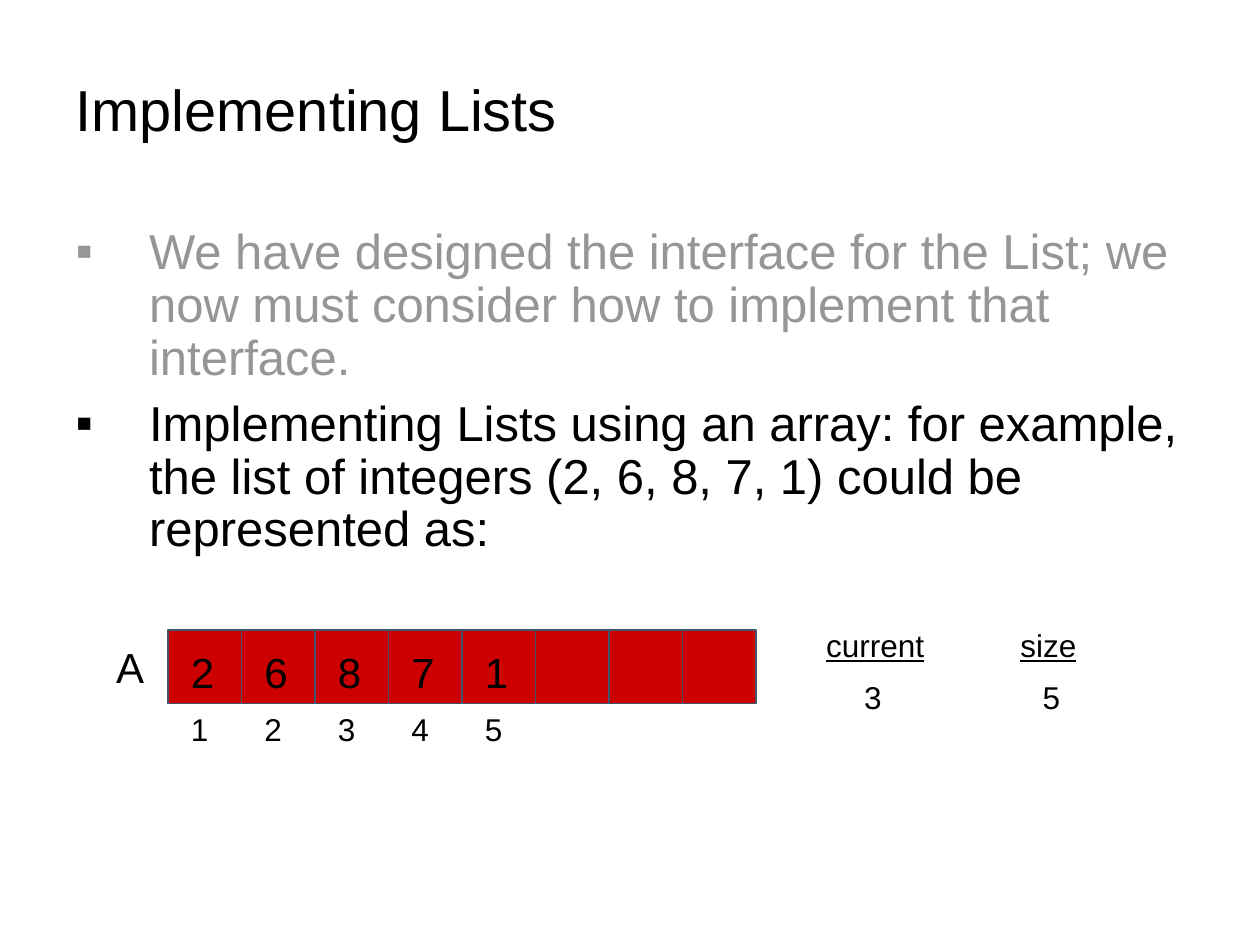
from lxml.etree import SubElement
from pptx import Presentation
from pptx.dml.color import RGBColor
from pptx.enum.shapes import MSO_CONNECTOR, MSO_SHAPE
from pptx.enum.text import MSO_ANCHOR, MSO_AUTO_SIZE, PP_ALIGN
from pptx.oxml.ns import qn
from pptx.util import Pt

PX = 9525  # EMU in one px, 96 px to the inch

THEME = {
    "font": "Arial",
    "text": "000000", "muted": "969696", "cell": "CC0000", "border": "44546A",
    "title": 33, "body": 28, "value": 24, "label": 18, "line": 0.75,
}

TITLE = "Implementing Lists"
BULLETS = [
    ("We have designed the interface for the List; we now must consider "
     "how to implement that interface.", "muted"),
    ("Implementing Lists using an array: for example, the list of integers "
     "(2, 6, 8, 7, 1) could be represented as:", "text"),
]
VALUES = ["2", "6", "8", "7", "1"]
CAPACITY = 8
# name, its left and width, value, its left
VARIABLES = [("current", 620, 94, "3", 649), ("size", 768, 67, "5", 785)]

ARRAY_LEFT, ARRAY_TOP, CELL = 128, 480, 56
BULLET_INDENT = 56
LABEL_WIDTH, LABEL_HEIGHT = 33, 38


def color(name):
    return RGBColor.from_string(THEME[name])


def write(paragraph, text, size="label", fill="text", underline=None):
    run = paragraph.add_run()
    run.text = text
    font = run.font
    font.name = THEME["font"]
    font.size = Pt(THEME[size])
    font.color.rgb = color(fill)
    font.underline = underline


def place(shape, left, top, width, height):
    shape.left, shape.top = left * PX, top * PX
    shape.width, shape.height = width * PX, height * PX


def add_label(slide, text, left, top, width=LABEL_WIDTH, height=LABEL_HEIGHT, **text_format):
    box = slide.shapes.add_textbox(left * PX, top * PX, width * PX, height * PX)
    box.text_frame.word_wrap = False
    write(box.text_frame.paragraphs[0], text, **text_format)


def add_bullet(paragraph, fill):
    properties = paragraph._p.get_or_add_pPr()
    properties.set("marL", str(BULLET_INDENT * PX))
    properties.set("indent", str(-BULLET_INDENT * PX))
    bullet_color = SubElement(properties, qn("a:buClr"))
    SubElement(bullet_color, qn("a:srgbClr"), val=THEME[fill])
    SubElement(properties, qn("a:buFont"), typeface=THEME["font"])
    SubElement(properties, qn("a:buChar"), char="▪")


def fill_placeholders(slide):
    title, body = slide.placeholders
    place(title, 48, 38, 864, 96)
    place(body, 48, 168, 864, 280)
    for shape in (title, body):
        shape.text_frame.auto_size = MSO_AUTO_SIZE.NONE
        shape.text_frame.word_wrap = True

    title.text_frame.vertical_anchor = MSO_ANCHOR.MIDDLE
    paragraph = title.text_frame.paragraphs[0]
    paragraph.alignment = PP_ALIGN.LEFT
    paragraph.line_spacing = 0.9
    write(paragraph, TITLE, size="title")

    for index, (text, fill) in enumerate(BULLETS):
        frame = body.text_frame
        paragraph = frame.add_paragraph() if index else frame.paragraphs[0]
        paragraph.line_spacing = 0.9
        paragraph.space_before = Pt(7.5 if index else 0)
        add_bullet(paragraph, fill)
        write(paragraph, text, size="body", fill=fill)


def draw_array(slide):
    array = slide.shapes.add_shape(MSO_SHAPE.RECTANGLE, ARRAY_LEFT * PX, ARRAY_TOP * PX,
                                   CAPACITY * CELL * PX, CELL * PX)
    array.shadow.inherit = False
    array.fill.solid()
    array.fill.fore_color.rgb = color("cell")
    array.line.color.rgb = color("border")
    array.line.width = Pt(THEME["line"])

    for number in range(1, CAPACITY):
        x = (ARRAY_LEFT + number * CELL) * PX
        divider = slide.shapes.add_connector(MSO_CONNECTOR.STRAIGHT, x, ARRAY_TOP * PX,
                                             x, (ARRAY_TOP + CELL) * PX)
        divider.line.color.rgb = color("border")
        divider.line.width = Pt(THEME["line"])
        SubElement(divider._element.spPr, qn("a:effectLst"))

    add_label(slide, "A", 79, ARRAY_TOP + 4, 40, 48, size="value")
    for index, value in enumerate(VALUES):
        left = ARRAY_LEFT + 8 + index * CELL
        add_label(slide, value, left, ARRAY_TOP + 8, 37, 48, size="value")
        add_label(slide, str(index + 1), left, ARRAY_TOP + CELL)


def main():
    presentation = Presentation()
    presentation.slide_width, presentation.slide_height = 960 * PX, 720 * PX
    slide = presentation.slides.add_slide(presentation.slide_layouts[1])
    fill_placeholders(slide)
    draw_array(slide)
    for name, name_left, name_width, value, value_left in VARIABLES:
        add_label(slide, name, name_left, ARRAY_TOP - 8, name_width, underline=True)
        add_label(slide, value, value_left, ARRAY_TOP + 32)
    presentation.save("out.pptx")


if __name__ == "__main__":
    main()
